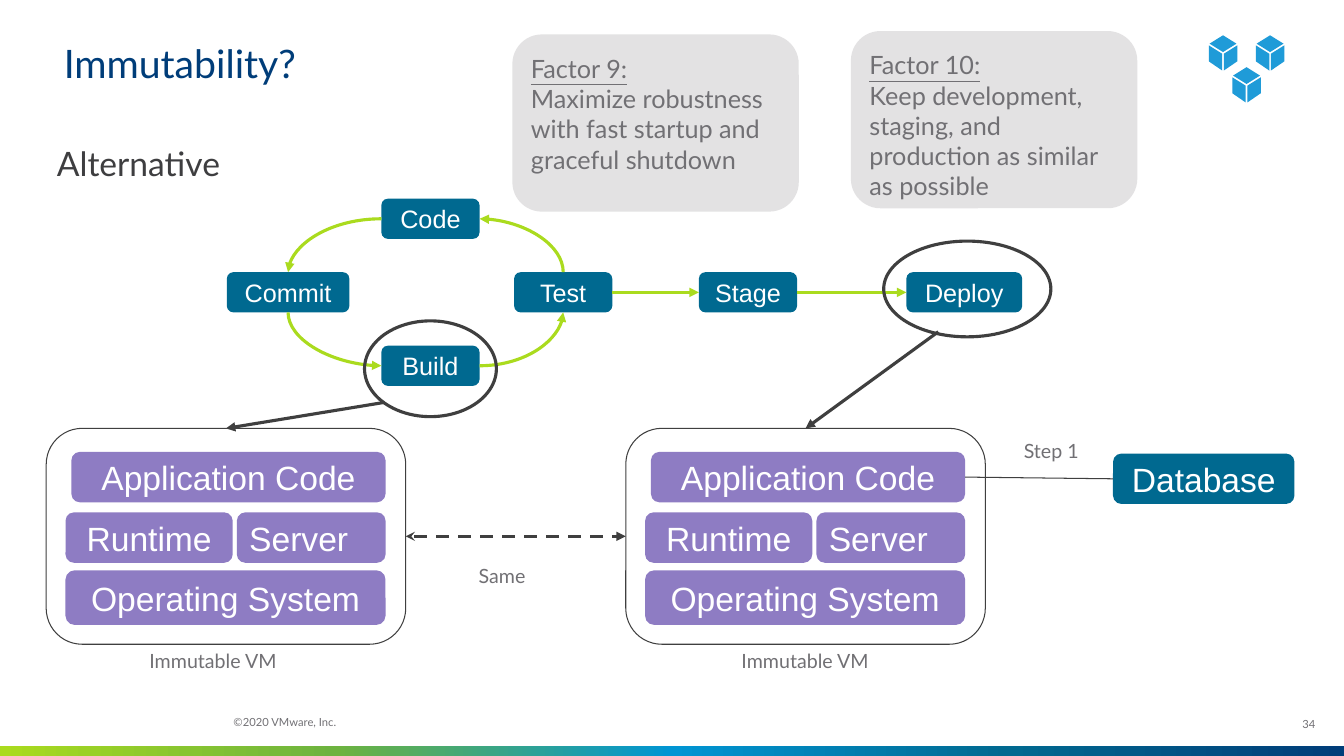
import lxml.etree
import pptx
import pptx.dml.color
import pptx.enum.dml
import pptx.enum.shapes
import pptx.enum.text
import pptx.oxml.ns
import pptx.util

# Content: places are columns and rows of a 160 by 90 grid
COLUMNS, ROWS = 160, 90
TITLE = ("Immutability?", (7.6, 5.4, 144.4, 5))
SUBTITLE = ("Alternative", (5.6, 16.4, 28.6, 6))
FACTORS = [
    ("Factor 10:", "Keep development, staging, and production as similar as possible", (101.3, 3.7)),
    ("Factor 9:", "Maximize robustness with fast startup and graceful shutdown", (61, 4.1)),
]
FACTOR_SIZE = (34.1, 21.1)
STAGES = {  # name: (left, pipeline row, width)
    "Code": (45.4, 0, 11.7),
    "Commit": (27, 1, 14.6),
    "Build": (45.4, 2, 11.7),
    "Test": (61.2, 1, 11.7),
    "Stage": (83.2, 1, 11.7),
    "Deploy": (107.9, 1, 13.8),
}
STAGE_TOP, STAGE_STEP, STAGE_HEIGHT = 23.65, 8.75, 4.8
TOP, LEFT, BOTTOM, RIGHT = range(4)
FLOWS = [  # start, side, end, side, end that carries the arrowhead
    ("Code", LEFT, "Commit", TOP, "tail"),
    ("Build", LEFT, "Commit", BOTTOM, "head"),
    ("Build", RIGHT, "Test", BOTTOM, "tail"),
    ("Code", RIGHT, "Test", TOP, "head"),
    ("Test", RIGHT, "Stage", LEFT, "tail"),
    ("Stage", RIGHT, "Deploy", LEFT, "tail"),
]
LAYERS = [  # offsets from the corner of the machine
    ("Application Code", (3, 2.8, 37.4, 6), "CENTER"),
    ("Runtime", (2.3, 10, 19.9, 6), "CENTER"),
    ("Server", (22.7, 10, 17.7, 6), "LEFT"),
    ("Operating System", (2.3, 16.9, 38.1, 6.5), "CENTER"),
]
MACHINE_LEFTS, MACHINE_TOP, MACHINE_SIZE = (5.5, 74.5), 51, (42.8, 25.7)
RINGS = [  # ring, start of the arrow down to its machine
    ((43.4, 38.2, 15.7, 11.4), (45.8, 47.9)),
    ((105.2, 28.7, 19.9, 11.4), (111.7, 39.5)),
]
DATABASE = ("Database", (132.5, 54, 21.6, 6))
LABELS = [
    ("Step 1", (120.7, 51, 10.3, 4.8), "LEFT"),
    ("Same", (55.8, 65.9, 9, 4.8), "LEFT"),
    ("Immutable VM", (16.6, 76, 24.7, 3.7), "LEFT"),
    ("Immutable VM", (83.5, 76, 24.7, 3.7), "CENTER"),
]
COPYRIGHT = ("©2020 VMware, Inc.", (27.8, 85.4, 25.8, 1.9))
PAGE_NUMBER = ("34", (150.8, 83.9, 5.8, 4.8))
STRIP = (0, 88.8, 160, 1.2)
CUBES = [(145.6, 4.2), (151.2, 4.2), (148.4, 8)]
CUBE_SIDE = [(-1.7, 1.2), (-1.7, 3.1), (-0.1, 4.2), (-0.1, 2.2)]
CUBE_FACES = [[(0, 0), (-1.6, 1), (0, 2), (1.6, 1)], CUBE_SIDE, [(-x, y) for x, y in CUBE_SIDE]]


class Theme:
    text_font, box_font = "Lato", "Arial"
    navy, teal, purple, green = "003D79", "006990", "8E7CC3", "AADB1E"
    gray, dark, ink, pale = "717074", "3E3E40", "3F3F3F", "E3E2E3"
    white, cube = "FFFFFF", "1F9BD8"
    strip = ["AADB1E", "6DB33F", "0095D3", "006990", "003D79"]
    title, large, medium, label, small = 28, 24, 18, 14, 8
    thin, thick = 0.75, 2.25


deck = pptx.Presentation()
deck.slide_width, deck.slide_height = pptx.util.Inches(13.33), pptx.util.Inches(7.5)
page = deck.slides.add_slide(deck.slide_layouts[5])
SHAPES, CONNECTORS = pptx.enum.shapes.MSO_SHAPE, pptx.enum.shapes.MSO_CONNECTOR
ANCHORS = pptx.enum.text.MSO_ANCHOR


def across(columns):
    return round(columns * deck.slide_width / COLUMNS)


def down(rows):
    return round(rows * deck.slide_height / ROWS)


def place(area):
    left, top, width, height = area
    return across(left), down(top), across(width), down(height)


def color(code):
    return pptx.dml.color.RGBColor.from_string(code)


def write(box, lines, size, ink, font=Theme.text_font, align="LEFT", anchor=ANCHORS.TOP,
          inset=(0.1, 0.1), spacing=None, wrap=True):
    frame = box.text_frame
    frame.word_wrap, frame.vertical_anchor = wrap, anchor
    frame.margin_left = frame.margin_right = pptx.util.Inches(inset[0])
    frame.margin_top = frame.margin_bottom = pptx.util.Inches(inset[1])
    frame.text = "\n".join(lines)
    for para in frame.paragraphs:
        para.alignment = getattr(pptx.enum.text.PP_ALIGN, align)
        para.line_spacing = spacing
        para.font.name, para.font.size = font, pptx.util.Pt(size)
        para.font.color.rgb = color(ink)
    return frame


def add_text(text, area, size, ink, **style):
    return write(page.shapes.add_textbox(*place(area)), [text], size, ink, **style)


def paint(shape, fill=None, line=None, width=Theme.thin):
    shape.shadow.inherit = False
    if fill:
        shape.fill.solid()
        shape.fill.fore_color.rgb = color(fill)
    else:
        shape.fill.background()
    if line:
        shape.line.color.rgb, shape.line.width = color(line), pptx.util.Pt(width)
    else:
        shape.line.fill.background()
    return shape


def add_shape(kind, area, **look):
    return paint(page.shapes.add_shape(kind, *place(area)), **look)


def add_box(text, area, fill, size, align="CENTER"):
    box = add_shape(SHAPES.ROUNDED_RECTANGLE, area, fill=fill)
    write(box, [text], size, Theme.white, Theme.box_font, align, ANCHORS.MIDDLE)
    return box


def connect(start, end, ink=Theme.ink, width=Theme.thick, curved=False, dash=False, **heads):
    """Join (shape, side) pairs; a start may also be a point on the grid."""
    kind = CONNECTORS.CURVE if curved else CONNECTORS.STRAIGHT
    free = isinstance(start[0], (int, float))
    corner = (across(start[0]), down(start[1])) if free else (0, 0)
    line = page.shapes.add_connector(kind, *corner, 0, 0)
    if not free:
        line.begin_connect(*start)
    line.end_connect(*end)
    line.line.color.rgb, line.line.width = color(ink), pptx.util.Pt(width)
    if dash:
        line.line.dash_style = pptx.enum.dml.MSO_LINE.DASH
    properties = line._element.spPr
    if curved:
        properties.find(pptx.oxml.ns.qn("a:prstGeom")).set("prst", "curvedConnector2")
    for end_name in ("head", "tail"):
        if end_name in heads:
            lxml.etree.SubElement(line.line._get_or_add_ln(), pptx.oxml.ns.qn(f"a:{end_name}End"),
                                  type=heads[end_name])
    lxml.etree.SubElement(properties, pptx.oxml.ns.qn("a:effectLst"))


# Footer
strip = add_shape(SHAPES.RECTANGLE, STRIP)
strip.fill.gradient()
strip.fill.gradient_angle = 0
stops = strip._element.spPr.find(".//" + pptx.oxml.ns.qn("a:gsLst"))
for stop in list(stops):
    stops.remove(stop)
for index, code in enumerate(Theme.strip):
    stop = lxml.etree.SubElement(stops, pptx.oxml.ns.qn("a:gs"), pos=str(index * 25000))
    lxml.etree.SubElement(stop, pptx.oxml.ns.qn("a:srgbClr"), val=code)
add_text(*PAGE_NUMBER, Theme.small, Theme.gray, align="RIGHT", anchor=ANCHORS.MIDDLE,
         inset=(0, 0), spacing=0.9)
add_text(*COPYRIGHT, Theme.small, Theme.gray, inset=(0, 0), spacing=0.9)

# Headings and icon
title = page.shapes.title
title.left, title.top, title.width, title.height = place(TITLE[1])
write(title, [TITLE[0]], Theme.title, Theme.navy, anchor=ANCHORS.BOTTOM, inset=(0, 0),
      spacing=0.9, wrap=False)
add_text(*SUBTITLE, Theme.large, Theme.dark, inset=(0.1, 0.05))
faces = [[(across(left + x), down(top + y)) for x, y in face]
         for left, top in CUBES for face in CUBE_FACES]
outline = page.shapes.build_freeform(*faces[0][0])
for face in faces:
    if face is not faces[0]:
        outline.move_to(*face[0])
    outline.add_line_segments(face[1:], close=True)
paint(outline.convert_to_shape(), fill=Theme.cube)

# Factor cards
for heading, statement, corner in FACTORS:
    card = add_shape(SHAPES.ROUNDED_RECTANGLE, corner + FACTOR_SIZE, fill=Theme.pale)
    frame = write(card, [heading, statement], Theme.medium, Theme.gray)
    frame.paragraphs[0].runs[0].font.underline = True

# Machines with their layers
machines, code_layers = [], []
for left in MACHINE_LEFTS:
    machines.append(add_shape(SHAPES.ROUNDED_RECTANGLE, (left, MACHINE_TOP) + MACHINE_SIZE,
                              line=Theme.ink))
    layers = [add_box(name, (left + x, MACHINE_TOP + y, width, height), Theme.purple,
                      Theme.large, align) for name, (x, y, width, height), align in LAYERS]
    code_layers.append(layers[0])
database = add_box(*DATABASE, Theme.teal, Theme.large)

# Pipeline
stages = {name: add_box(name, (left, STAGE_TOP + row * STAGE_STEP, width, STAGE_HEIGHT),
                        Theme.teal, Theme.medium)
          for name, (left, row, width) in STAGES.items()}
for start, start_side, end, end_side, arrow in FLOWS:
    connect((stages[start], start_side), (stages[end], end_side), Theme.green,
            curved=end_side in (TOP, BOTTOM), **{arrow: "triangle"})

# Rings, links and labels
for (ring, start), machine in zip(RINGS, machines):
    add_shape(SHAPES.OVAL, ring, line=Theme.ink, width=Theme.thick)
    connect(start, (machine, TOP), tail="triangle")
connect((code_layers[1], RIGHT), (database, LEFT), width=Theme.thin)
connect((machines[0], RIGHT), (machines[1], LEFT), dash=True, head="stealth", tail="triangle")
for text, area, align in LABELS:
    add_text(text, area, Theme.label, Theme.gray, align=align)

deck.save("out.pptx")
